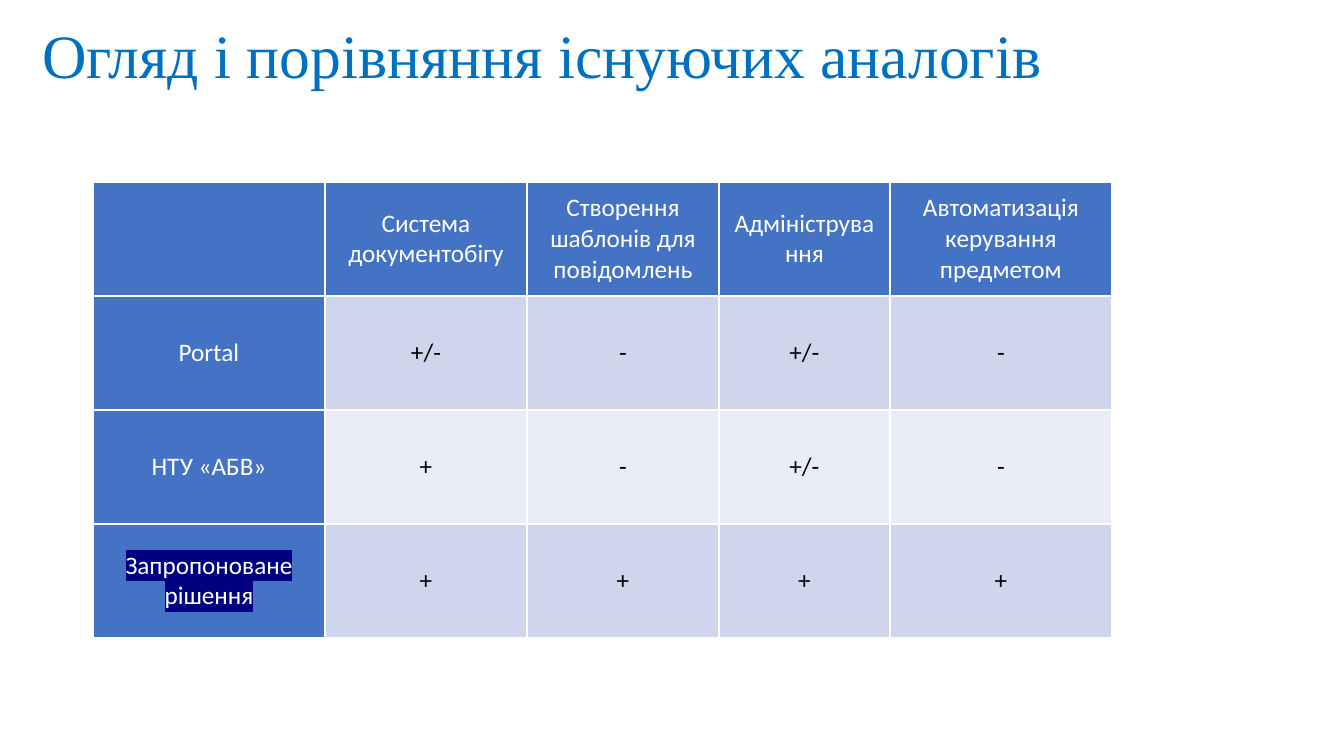
from lxml import etree
from pptx import Presentation
from pptx.dml.color import RGBColor
from pptx.enum.text import MSO_ANCHOR, MSO_AUTO_SIZE, PP_ALIGN
from pptx.oxml.ns import qn
from pptx.util import Pt

MIDDLE = MSO_ANCHOR.MIDDLE
NO_AUTOFIT = MSO_AUTO_SIZE.NONE
LEFT, CENTER = PP_ALIGN.LEFT, PP_ALIGN.CENTER

SLIDE_W, SLIDE_H = 1344, 756
SCALE = 12192000 / SLIDE_W
TITLE_ONLY = 5

BLUE, WHITE, BLACK, NAVY = "4472C4", "FFFFFF", "000000", "000080"
BANDS = ["CFD5EA", "E9EBF5"]
COLS = [232, 202, 192, 171, 222]
ROWS = [
    ["", "Система документобігу", "Створення шаблонів для повідомлень",
     "Адміністрування", "Автоматизація керування предметом"],
    ["Portal", "+/-", "-", "+/-", "-"],
    ["НТУ «АБВ»", "+", "-", "+/-", "-"],
    ["Запропоноване рішення", "+", "+", "+", "+"],
]


def px(n):
    """Turn pixels into EMU."""
    return round(n * SCALE)


def color(hex_code):
    """Turn a hex string into a colour."""
    return RGBColor.from_string(hex_code)


def write(tf, text, size=18, font="Calibri", fill=BLACK, align=CENTER,
          spacing=1.0, highlight=None):
    """Put one formatted paragraph into a text frame."""
    p = tf.paragraphs[0]
    p.alignment = align
    p.line_spacing = spacing
    if not text:
        p.font.size = Pt(size)
        return
    r = p.add_run()
    r.text = text
    r.font.size = Pt(size)
    r.font.name = font
    r.font.bold = False
    r.font.color.rgb = color(fill)
    if highlight:
        mark = etree.Element(qn("a:highlight"))
        etree.SubElement(mark, qn("a:srgbClr"), val=highlight)
        r._r.rPr.find(qn("a:latin")).addprevious(mark)


def add_borders(cell):
    """Draw thin white lines around a cell."""
    tcPr = cell._tc.get_or_add_tcPr()
    for side in "LRTB":
        ln = etree.SubElement(tcPr, qn(f"a:ln{side}"), w=str(Pt(1)))
        fill = etree.SubElement(ln, qn("a:solidFill"))
        etree.SubElement(fill, qn("a:srgbClr"), val=WHITE)


def add_title(s, x, y, w, h):
    """Place the slide title in the given box."""
    sp = s.shapes.title
    sp.left, sp.top, sp.width, sp.height = px(x), px(y), px(w), px(h)
    tf = sp.text_frame
    tf.word_wrap = True
    tf.auto_size = NO_AUTOFIT
    tf.vertical_anchor = MIDDLE
    write(tf, "Огляд і порівняння існуючих аналогів", size=44,
          font="Times New Roman", fill="0070C0", align=LEFT, spacing=0.9)


def add_comparison(s, x, y, row_h):
    """Place the comparison table with its corner at x, y."""
    table = s.shapes.add_table(len(ROWS), len(COLS), px(x), px(y),
                               px(sum(COLS)), px(row_h * len(ROWS))).table
    table.first_row = table.horz_banding = False
    for col, width in zip(table.columns, COLS):
        col.width = px(width)
    for i, row in enumerate(ROWS):
        table.rows[i].height = px(row_h)
        for j, text in enumerate(row):
            cell = table.cell(i, j)
            heading = i == 0 or j == 0
            proposed = i == len(ROWS) - 1 and j == 0
            add_borders(cell)
            cell.fill.solid()
            cell.fill.fore_color.rgb = color(BLUE if heading else BANDS[(i - 1) % 2])
            cell.vertical_anchor = MIDDLE
            write(cell.text_frame, text, fill=WHITE if heading else BLACK,
                  highlight=NAVY if proposed else None)


def main():
    """Build and save the presentation."""
    prs = Presentation()
    prs.slide_width, prs.slide_height = px(SLIDE_W), px(SLIDE_H)
    s = prs.slides.add_slide(prs.slide_layouts[TITLE_ONLY])
    add_title(s, 32, 0, 1138, 118)
    add_comparison(s, 93, 182, 114)
    prs.save("out.pptx")


if __name__ == "__main__":
    main()
